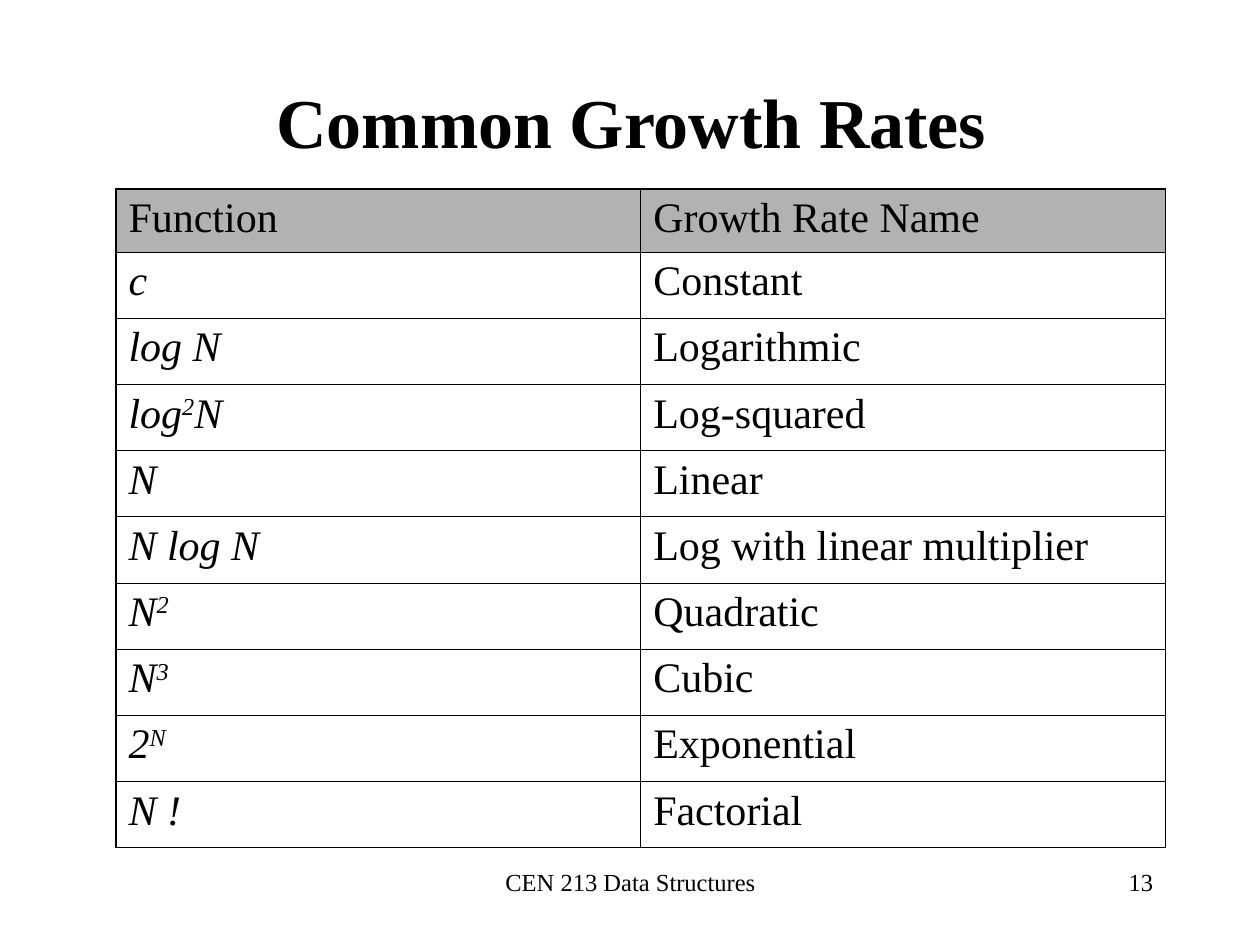
import pptx
import pptx.util
import pptx.dml.color
import pptx.enum.text
import pptx.oxml
import pptx.oxml.ns
from dataclasses import dataclass

Inches, Pt = pptx.util.Inches, pptx.util.Pt
ALIGN = pptx.enum.text.PP_ALIGN
ANCHOR = pptx.enum.text.MSO_ANCHOR

TITLE = "Common Growth Rates "
FOOTER = "CEN 213 Data Structures"
PAGE = "13"
HEADER = ("Function", "Growth Rate Name")
RATES = [
    (("c",), "Constant"),
    (("log N",), "Logarithmic"),
    (("log", "2", "N"), "Log-squared"),
    (("N",), "Linear"),
    (("N log N",), "Log with linear multiplier"),
    (("N", "2"), "Quadratic"),
    (("N", "3"), "Cubic"),
    (("2", "N"), "Exponential"),
    (("N !",), "Factorial"),
]


@dataclass(frozen=True)
class Theme:
    font: str = "Times New Roman"
    ink: str = "000000"
    header: str = "B2B2B2"
    title: int = 40
    body: int = 24
    footer: int = 14
    outer: float = 1.08
    inner: float = 0.45


THEME = Theme()


def rgb(value):
    return pptx.dml.color.RGBColor.from_string(value)


def add_run(p, text, size, bold=False, italic=False, superscript=False):
    r = p.add_run()
    r.text = text
    r.font.name = THEME.font
    r.font.size = Pt(size)
    r.font.bold = bold
    r.font.italic = italic
    r.font.color.rgb = rgb(THEME.ink)
    if superscript:
        r.font._element.set("baseline", "30000")


def add_footer(s, text, left, width, align):
    sp = s.shapes.add_textbox(Inches(left), Inches(6.83), Inches(width), Inches(0.5))
    sp.text_frame.word_wrap = True
    p = sp.text_frame.paragraphs[0]
    p.alignment = align
    add_run(p, text, THEME.footer)


def set_borders(cell, edges):
    tc_pr = cell._tc.get_or_add_tcPr()
    for i, (side, is_outer) in enumerate(edges):
        width = Pt(THEME.outer if is_outer else THEME.inner)
        tc_pr.insert(i, pptx.oxml.parse_xml(
            f'<a:ln{side} {pptx.oxml.ns.nsdecls("a")} w="{width}"><a:solidFill>'
            f'<a:srgbClr val="{THEME.ink}"/></a:solidFill></a:ln{side}>'))


def add_rates_table(s):
    rows = [((HEADER[0],), HEADER[1])] + RATES
    last = len(rows) - 1
    width, height, header_height = 8.33, 5.23, 0.5
    table = s.shapes.add_table(len(rows), 2, Inches(0.92), Inches(1.5),
                               Inches(width), Inches(height)).table
    for column in table.columns:
        column.width = Inches(width / 2)
    for i, (function, name) in enumerate(rows):
        table.rows[i].height = Inches(
            header_height if i == 0 else (height - header_height) / last)
        for j, parts in enumerate((function, (name,))):
            cell = table.cell(i, j)
            if i == 0:
                cell.fill.solid()
                cell.fill.fore_color.rgb = rgb(THEME.header)
            else:
                cell.fill.background()
            set_borders(cell, (("L", j == 0), ("R", j == 1),
                               ("T", i == 0), ("B", i == last)))
            p = cell.text_frame.paragraphs[0]
            p.space_before = Pt(6)
            for k, text in enumerate(parts):
                add_run(p, text, THEME.body, italic=i > 0 and j == 0,
                        superscript=k == 1)


def main():
    prs = pptx.Presentation()
    prs.slide_width, prs.slide_height = Inches(10), Inches(7.5)
    s = prs.slides.add_slide(prs.slide_layouts[5])

    sp = s.shapes.title
    sp.left, sp.top = Inches(0.83), Inches(0.5)
    sp.width, sp.height = Inches(8.5), Inches(0.92)
    tf = sp.text_frame
    tf.vertical_anchor = ANCHOR.MIDDLE
    p = tf.paragraphs[0]
    p.alignment = ALIGN.CENTER
    add_run(p, TITLE, THEME.title, bold=True)

    add_rates_table(s)
    add_footer(s, FOOTER, 3.42, 3.17, ALIGN.CENTER)
    add_footer(s, PAGE, 7.17, 2.08, ALIGN.RIGHT)
    prs.save("out.pptx")


if __name__ == "__main__":
    main()
